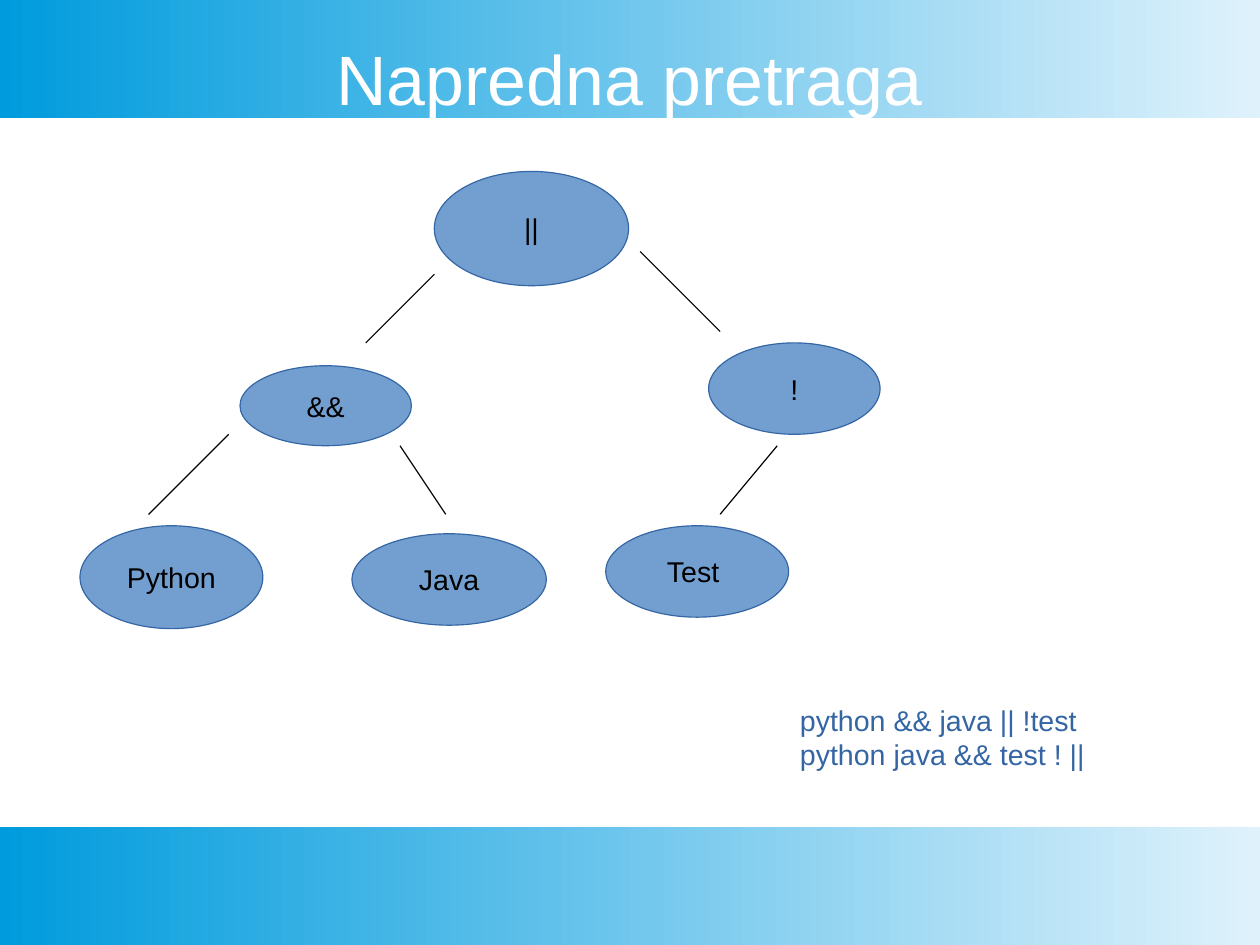
from lxml import etree
from pptx import Presentation
from pptx.dml.color import RGBColor
from pptx.enum import shapes, text
from pptx.oxml.ns import qn
from pptx.util import Pt

# Content; places are in grid steps
GRID = 7.2
TITLE = "Napredna pretraga"
NODES = [  # label, left, top, width, height
    ("Python", 7, 46, 16, 9),
    ("Java", 30.8, 46.7, 17, 8),
    ("&&", 21, 32, 15, 7),
    ("||", 38, 15, 17, 10),
    ("!", 62, 30, 15, 8),
    ("Test ", 53, 46, 16, 8),
]
BRANCHES = [  # x1, y1, x2, y2
    (13, 45, 20, 38),
    (35, 39, 39, 45),
    (32, 30, 38, 24),
    (56, 22, 63, 29),
    (68, 39, 63, 45),
]
QUERIES = ["python && java || !test", "python java && test ! ||"]
WIDTH, HEIGHT, BAND = 793.7, 595.28, 74.2
BLUE, DARK, BLACK, WHITE = "729FCF", "3465A4", "000000", "FFFFFF"
BAND_COLORS = ("009BDD", "DFF2FC")


def color(value):
    return RGBColor.from_string(value)


def grid(*steps):
    return [Pt(step * GRID) for step in steps]


def write(sp, lines, size, ink, align):
    tf = sp.text_frame
    tf.text = "\n".join(lines)
    for p in tf.paragraphs:
        p.alignment = align
        for r in p.runs:
            r.font.name, r.font.size = "Arial", Pt(size)
            r.font.color.rgb = color(ink)
    return tf


prs = Presentation()
prs.slide_width, prs.slide_height = Pt(WIDTH), Pt(HEIGHT)
s = prs.slides.add_slide(prs.slide_layouts[5])
title = s.shapes.title

# Gradient bands behind the title
for top in (0, HEIGHT - BAND):
    sp = s.shapes.add_shape(shapes.MSO_SHAPE.RECTANGLE, 0, Pt(top), Pt(WIDTH), Pt(BAND))
    sp.shadow.inherit = False
    sp.line.fill.background()
    sp.fill.gradient()
    sp.fill.gradient_angle = 0
    for stop, value in zip(sp.fill.gradient_stops, BAND_COLORS):
        stop.color.rgb = color(value)
    title.element.addprevious(sp.element)

# Title
title.left, title.top, title.width, title.height = Pt(39.6), Pt(22.3), Pt(714.2), Pt(52.6)
tf = write(title, [TITLE], 44, WHITE, text.PP_ALIGN.CENTER)
tf.margin_left = tf.margin_top = tf.margin_right = tf.margin_bottom = 0
tf.vertical_anchor = text.MSO_ANCHOR.MIDDLE
tf.auto_size = text.MSO_AUTO_SIZE.NONE

# Tree branches
for branch in BRANCHES:
    line = s.shapes.add_connector(shapes.MSO_CONNECTOR.STRAIGHT, *grid(*branch))
    line.line.color.rgb = color(BLACK)
    line.line.width = Pt(0.75)
    etree.SubElement(line.element.spPr, qn("a:effectLst"))

# Tree nodes
for label, *box in NODES:
    sp = s.shapes.add_shape(shapes.MSO_SHAPE.OVAL, *grid(*box))
    sp.shadow.inherit = False
    sp.fill.solid()
    sp.fill.fore_color.rgb = color(BLUE)
    sp.line.color.rgb = color(DARK)
    sp.line.width = Pt(0.75)
    tf = write(sp, [label], 18, BLACK, text.PP_ALIGN.CENTER)
    tf.vertical_anchor = text.MSO_ANCHOR.MIDDLE
    tf.word_wrap = False

# Query in infix and postfix form
sp = s.shapes.add_textbox(*grid(69, 61, 60, 7))
write(sp, QUERIES, 18, DARK, text.PP_ALIGN.LEFT).word_wrap = True

prs.save("out.pptx")
